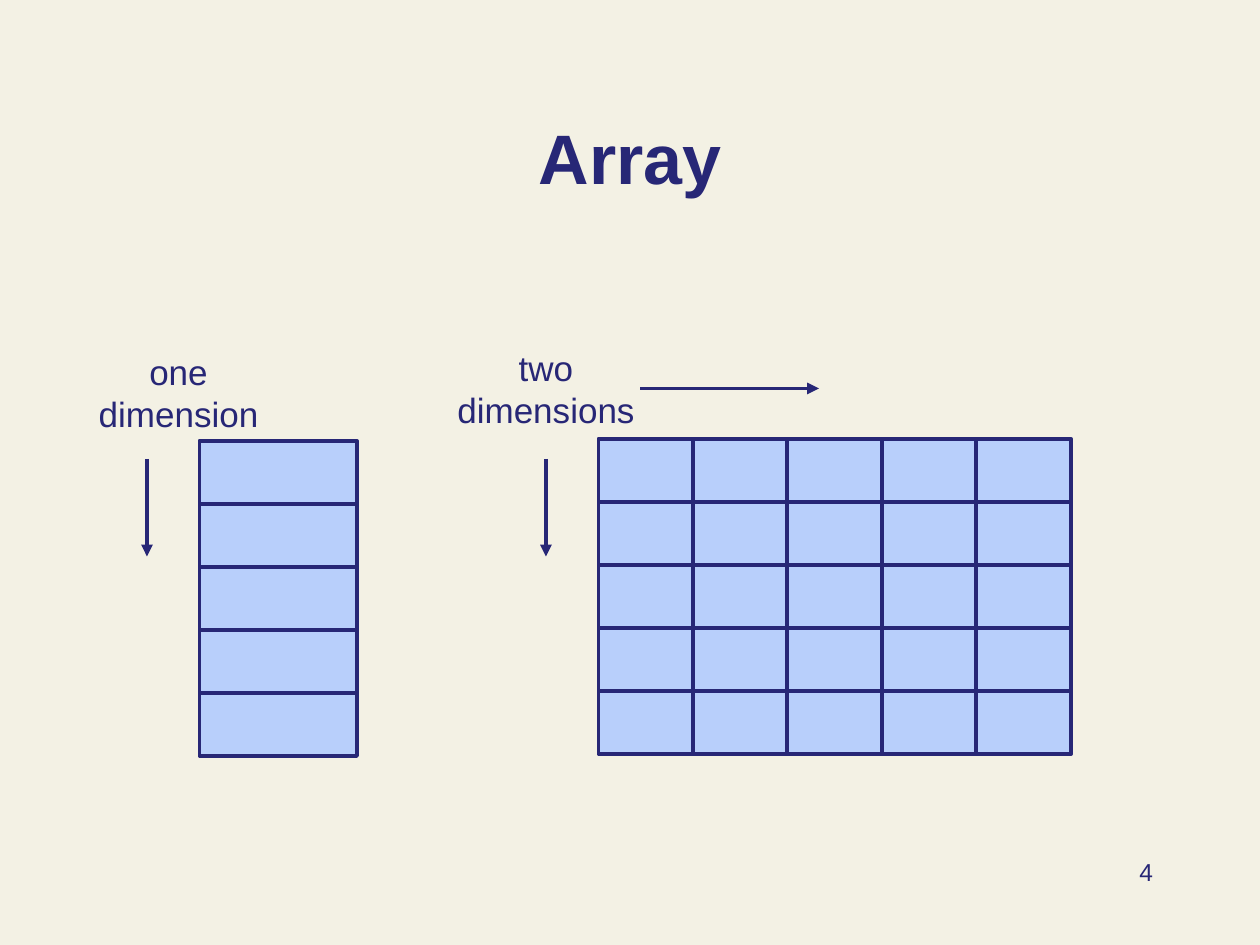
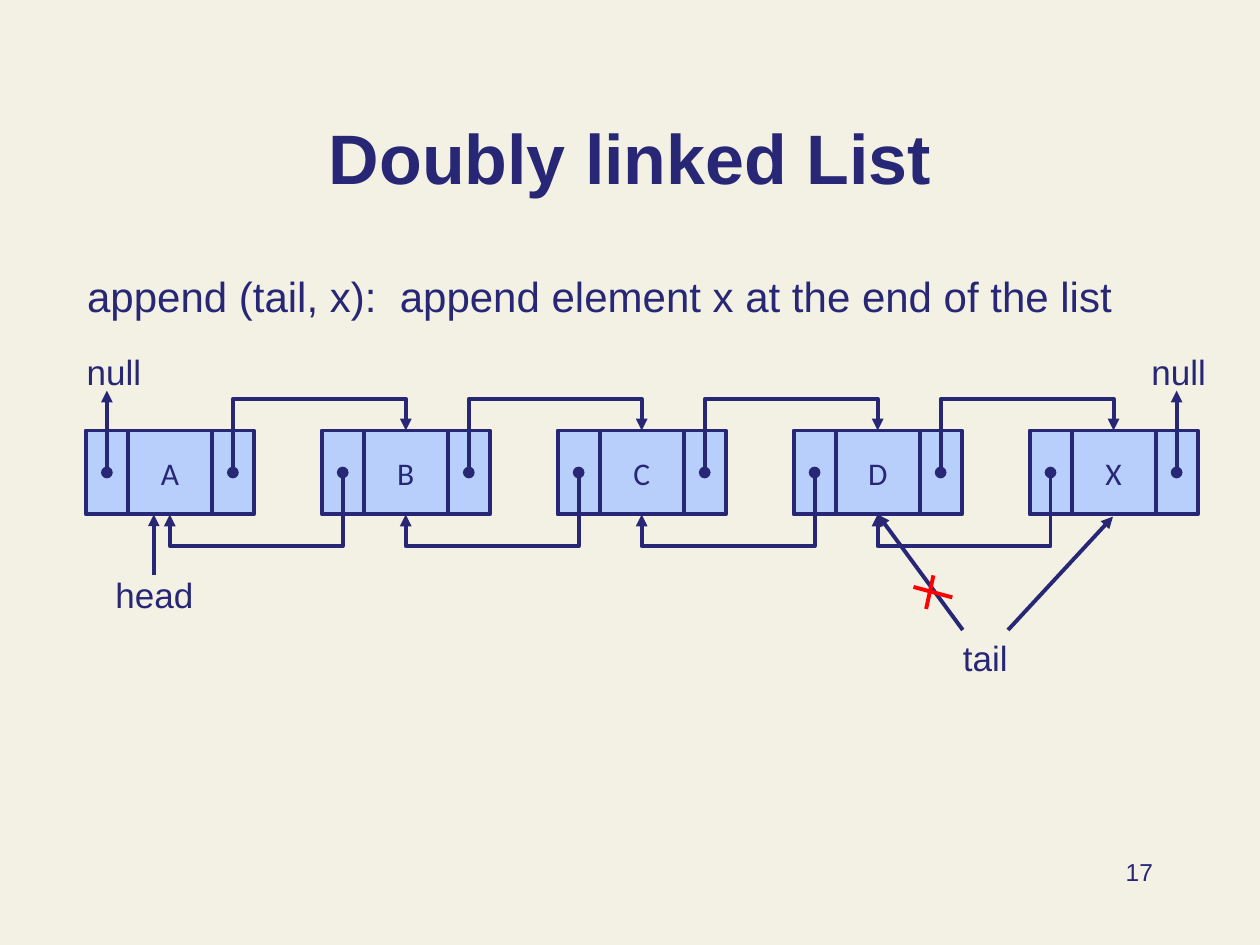
from dataclasses import dataclass

from lxml import etree
from pptx import Presentation
from pptx import util as u
from pptx.dml.color import RGBColor
from pptx.enum import shapes, text
from pptx.oxml import ns


@dataclass(frozen=True)
class Theme:
    paper: RGBColor = RGBColor.from_string("F3F1E4")
    ink: RGBColor = RGBColor.from_string("272776")
    cell: RGBColor = RGBColor.from_string("B8CFFB")
    cross: RGBColor = RGBColor.from_string("FF0000")
    font: str = "Arial"
    node_font: str = "Calibri"
    title: int = 40
    body: int = 24
    label: int = 20
    node: int = 18
    number: int = 14
    stroke: float = 2.25


T = Theme()
COLS, ROWS = 120, 90
WIDTH, HEIGHT = u.Inches(10), u.Inches(7.5)
CENTER, RIGHT, LEFT = text.PP_ALIGN.CENTER, text.PP_ALIGN.RIGHT, text.PP_ALIGN.LEFT
TOP, MIDDLE, BOTTOM = text.MSO_ANCHOR.TOP, text.MSO_ANCHOR.MIDDLE, text.MSO_ANCHOR.BOTTOM

NODE_LEFT, NODE_TOP, NODE_PITCH = 8.18, 41, 22.47
NODE_HEIGHT, POINTER, VALUE = 8, 4, 8
NODE_MID, NODE_BOTTOM = NODE_TOP + NODE_HEIGHT / 2, NODE_TOP + NODE_HEIGHT
PREV, CENTRE, NEXT = POINTER / 2, POINTER + VALUE / 2, POINTER * 1.5 + VALUE


def x(col):
    return round(WIDTH * col / COLS)


def y(row):
    return round(HEIGHT * row / ROWS)


def box(col, row, cols, rows):
    return x(col), y(row), x(cols), y(rows)


def assign(target, values):
    for name, value in values.items():
        setattr(target, name, value)


def write(sp, lines, size, align=CENTER, anchor=TOP, font=T.font, bold=False, wrap=True):
    tf = sp.text_frame
    assign(tf, {"word_wrap": wrap, "auto_size": text.MSO_AUTO_SIZE.NONE,
                "vertical_anchor": anchor})
    tf.text = lines
    for p in tf.paragraphs:
        assign(p, {"alignment": align, "space_before": u.Pt(0)})
        for r in p.runs:
            assign(r.font, {"name": font, "size": u.Pt(size), "bold": bold})
            r.font.color.rgb = T.ink


def place(sp, area):
    assign(sp, dict(zip(("left", "top", "width", "height"), area)))


def label(s, lines, area, size=T.label, align=CENTER, wrap=True):
    write(s.shapes.add_textbox(*area), lines, size, align, wrap=wrap)


def new_slide(prs, layout, title, number):
    s = prs.slides.add_slide(prs.slide_layouts.get_by_name(layout))
    place(s.shapes.title, box(9, 6.5, 102, 13))
    write(s.shapes.title, title, T.title, anchor=BOTTOM, bold=True)
    label(s, number, box(86, 81, 25, 6), T.number, RIGHT)
    return s


def body(s, line):
    sp = s.placeholders[1]
    place(sp, box(7.1, 25.2, 104, 56.8))
    write(sp, line, T.body, LEFT)
    pPr = sp.text_frame.paragraphs[0]._p.get_or_add_pPr()
    for name in ("marL", "indent"):
        pPr.set(name, "0")
    etree.SubElement(pPr, ns.qn("a:buNone"))


def cell(s, area, value=None):
    sp = s.shapes.add_shape(shapes.MSO_SHAPE.RECTANGLE, *area)
    sp.shadow.inherit = False
    sp.fill.solid()
    sp.fill.fore_color.rgb = T.cell
    sp.line.color.rgb = T.ink
    sp.line.width = u.Pt(T.stroke)
    if value:
        write(sp, value, T.node, anchor=MIDDLE, font=T.node_font)


def array(s, col, row, cols, rows, width, height):
    for i in range(rows):
        for j in range(cols):
            cell(s, box(col + j * width, row + i * height, width, height))


def line(s, start, end, color=T.ink, kind=shapes.MSO_CONNECTOR.STRAIGHT, **ends):
    c = s.shapes.add_connector(kind, x(start[0]), y(start[1]), x(end[0]), y(end[1]))
    c.line.color.rgb = color
    c.line.width = u.Pt(T.stroke)
    spPr = c._element.spPr
    ln = spPr.find(ns.qn("a:ln"))
    for name in ("headEnd", "tailEnd"):
        if name in ends:
            etree.SubElement(ln, ns.qn("a:" + name), type=ends[name])
    etree.SubElement(spPr, ns.qn("a:effectLst"))
    return c


def arrow(s, start, end):
    line(s, start, end, tailEnd="triangle")


def pointer(s, start, end, **kind):
    return line(s, start, end, headEnd="oval", tailEnd="triangle", **kind)


def link(s, start, end):
    c = pointer(s, start, end, kind=shapes.MSO_CONNECTOR.ELBOW)
    spPr = c._element.spPr
    if end[1] < start[1]:
        xfrm = spPr.find(ns.qn("a:xfrm"))
        for name, value in {"rot": "10800000", "flipH": "1", "flipV": "0"}.items():
            xfrm.set(name, value)
    geom = spPr.find(ns.qn("a:prstGeom"))
    geom.set("prst", "bentConnector4")
    guides = geom.find(ns.qn("a:avLst"))
    for name, value in {"adj1": 0, "adj2": 175000}.items():
        etree.SubElement(guides, ns.qn("a:gd"), name=name, fmla=f"val {value}")


def node(s, left, value):
    cell(s, box(left + POINTER, NODE_TOP, VALUE, NODE_HEIGHT), value)
    for offset in (0, POINTER + VALUE):
        cell(s, box(left + offset, NODE_TOP, POINTER, NODE_HEIGHT))


def array_slide(prs):
    s = new_slide(prs, "Title Only", "Array", "4")
    array(s, 19, 42, 1, 5, 15, 6)
    array(s, 57, 41.8, 5, 5, 9, 6)
    label(s, "one dimension", box(6, 32.8, 22, 9.2))
    label(s, "two\ndimensions", box(41, 32.4, 22, 9.2))
    for col in (14, 52):
        arrow(s, (col, 43.7), (col, 53))
    arrow(s, (61, 37), (78, 37))


def list_slide(prs):
    s = new_slide(prs, "Title and Content", "Doubly linked List", "17")
    body(s, "append (tail, x):  append element x at the end of the list")
    values = "ABCDX"
    lefts = [NODE_LEFT + i * NODE_PITCH for i in range(len(values))]
    for left, value in zip(lefts, values):
        node(s, left, value)
    for left, following in zip(lefts, lefts[1:]):
        link(s, (left + NEXT, NODE_MID), (following + CENTRE, NODE_TOP))
        link(s, (following + PREV, NODE_MID), (left + CENTRE, NODE_BOTTOM))
    for col in (lefts[0] + PREV, lefts[-1] + NEXT):
        pointer(s, (col, NODE_MID), (col, 37.2))
    for name, col, row, cols in (("null", 7, 32.8, 7.7), ("null", 108.4, 32.8, 7.7),
                                 ("head", 9.7, 54, 10), ("tail", 90.5, 60, 6.7)):
        label(s, name, box(col, row, cols, 5.3), wrap=False)
    arrow(s, (14.65, 54.8), (14.65, NODE_BOTTOM))
    arrow(s, (91.7, 60), (83.6, NODE_BOTTOM))
    arrow(s, (96, 60), (106, NODE_BOTTOM + 0.2))
    line(s, (87, 55.9), (90.7, 56.9), T.cross)
    line(s, (88.9, 54.8), (88.2, 58), T.cross)


def main():
    prs = Presentation()
    assign(prs, {"slide_width": WIDTH, "slide_height": HEIGHT})
    fill = prs.slide_master.background.fill
    fill.solid()
    fill.fore_color.rgb = T.paper
    array_slide(prs)
    list_slide(prs)
    prs.save("out.pptx")


if __name__ == "__main__":
    main()
